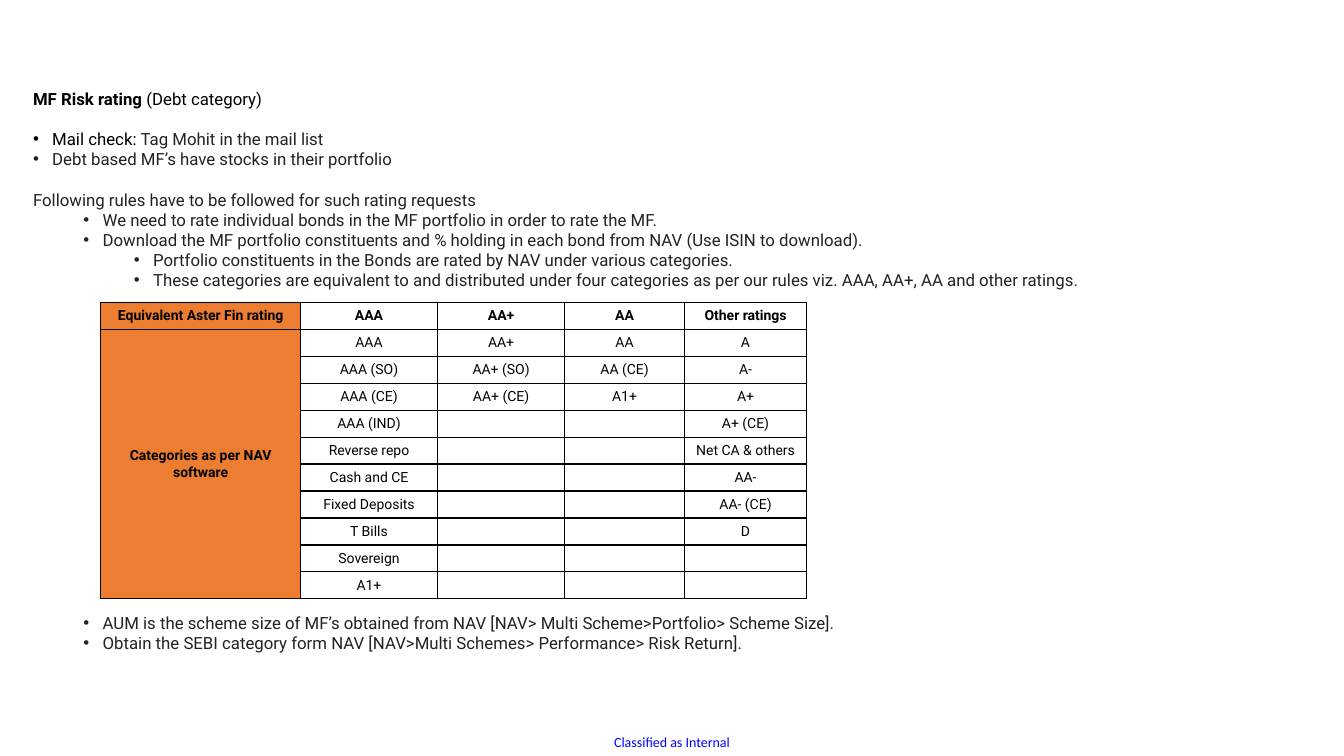
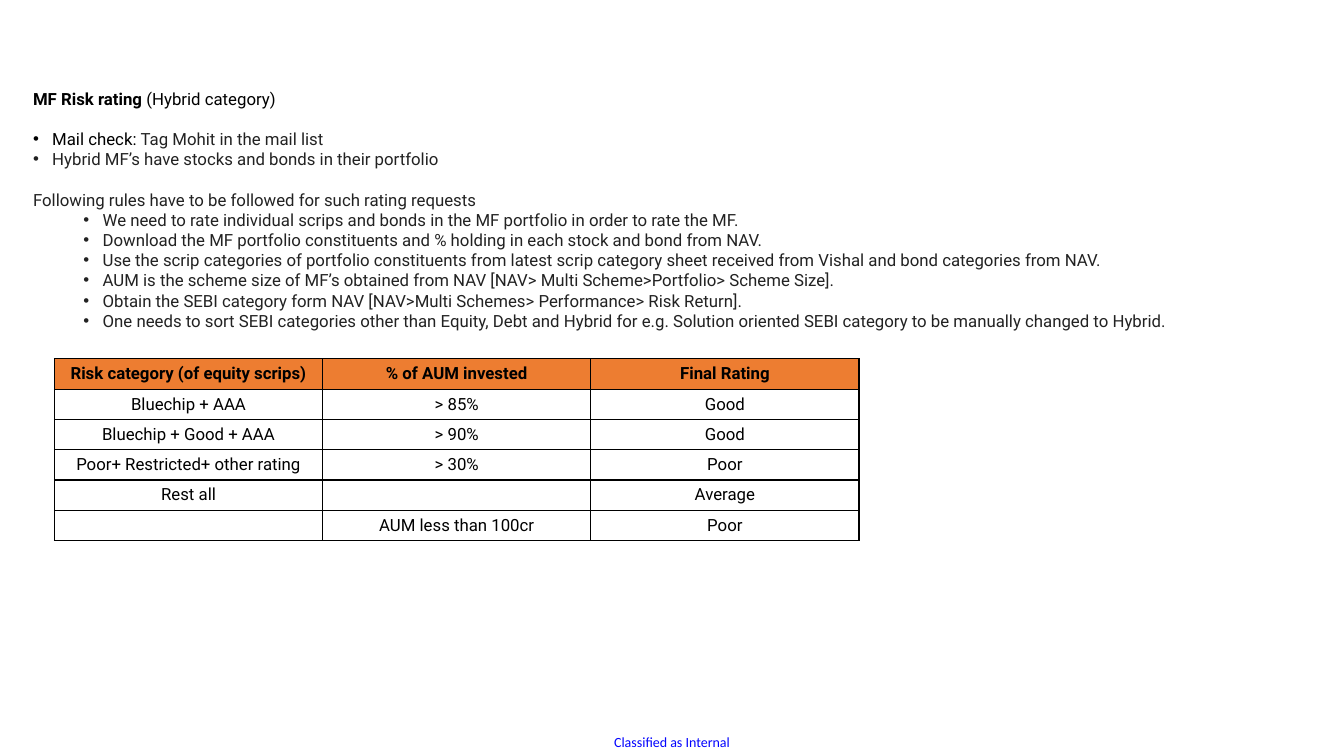
from pptx import Presentation
from pptx.dml.color import RGBColor
from pptx.enum.text import MSO_ANCHOR as Anchor, PP_ALIGN as Align
from pptx.oxml.xmlchemy import OxmlElement
from pptx.util import Inches, Pt

# Shared look
BLACK, GRAY, WHITE = "000000", "222222", "FFFFFF"
ORANGE, BLUE = "ED7D31", "0303FE"
BODY_FONT, FOOTER_FONT = "Roboto", "Calibri"
BODY_SIZE = 12
BLANK_LINE = 14.4
SLIDE_WIDTH, SLIDE_HEIGHT = 13.33, 7.5
TEXT_LEFT, TEXT_TOP, TEXT_WIDTH = 0.23, 0.83, 12.6
HANGING, LEVEL_STEP = 0.19, 0.5

# Wording used on both slides
RULES_INTRO = "Following rules have to be followed for such rating requests"
NAV_RULES = [
    (1, "AUM is the scheme size of MF’s obtained from NAV "
        "[NAV> Multi Scheme>Portfolio> Scheme Size]."),
    (1, "Obtain the SEBI category form NAV "
        "[NAV>Multi Schemes> Performance> Risk Return]."),
]

DEBT_RULES = [
    (1, "We need to rate individual bonds in the MF portfolio in order to rate the MF."),
    (1, "Download the MF portfolio constituents and % holding in each bond "
        "from NAV (Use ISIN to download)."),
    (2, "Portfolio constituents in the Bonds are rated by NAV under various categories."),
    (2, "These categories are equivalent to and distributed under four categories "
        "as per our rules viz. AAA, AA+, AA and other ratings."),
]
HYBRID_RULES = [
    (1, "We need to rate individual scrips and bonds in the MF portfolio "
        "in order to rate the MF."),
    (1, "Download the MF portfolio constituents and % holding in each stock "
        "and bond from NAV."),
    (1, "Use the scrip categories of portfolio constituents from latest scrip "
        "category sheet received from Vishal and bond categories from NAV."),
    *NAV_RULES,
    (1, "One needs to sort SEBI categories other than Equity, Debt and Hybrid for e.g. "
        "Solution oriented SEBI category to be manually changed to Hybrid."),
]

BOND_ROWS = [
    ["Equivalent Aster Fin rating", "AAA", "AA+", "AA", "Other ratings"],
    ["Categories as per NAV software", "AAA", "AA+", "AA", "A"],
    ["", "AAA (SO)", "AA+ (SO)", "AA (CE)", "A-"],
    ["", "AAA (CE)", "AA+ (CE)", "A1+", "A+"],
    ["", "AAA (IND)", "", "", "A+ (CE)"],
    ["", "Reverse repo", "", "", "Net CA & others"],
    ["", "Cash and CE", "", "", "AA-"],
    ["", "Fixed Deposits", "", "", "AA- (CE)"],
    ["", "T Bills", "", "", "D"],
    ["", "Sovereign", "", "", ""],
    ["", "A1+", "", "", ""],
]
RATING_ROWS = [
    ["Risk category (of equity scrips)", "% of AUM invested", "Final Rating"],
    ["Bluechip + AAA", "> 85%", "Good"],
    ["Bluechip + Good + AAA", "> 90%", "Good"],
    ["Poor+ Restricted+ other rating", "> 30%", "Poor"],
    ["Rest all", "", "Average"],
    ["", "AUM less than 100cr", "Poor"],
]


def color(value):
    return RGBColor.from_string(value)


def add_run(paragraph, text, fill=GRAY, size=BODY_SIZE, font=BODY_FONT, bold=False):
    run = paragraph.add_run()
    run.text = text
    run.font.name = font
    run.font.size = Pt(size)
    run.font.bold = bold
    run.font.color.rgb = color(fill)


def add_text_frame(slide, left, top, width, height):
    frame = slide.shapes.add_textbox(
        Inches(left), Inches(top), Inches(width), Inches(height)).text_frame
    frame.word_wrap = True
    return frame


def next_paragraph(frame):
    first = frame.paragraphs[0]
    return frame.add_paragraph() if first.runs else first


def set_bullet(paragraph, level):
    properties = paragraph._p.get_or_add_pPr()
    properties.set("marL", str(Inches(HANGING + level * LEVEL_STEP)))
    properties.set("indent", str(-Inches(HANGING)))
    font = OxmlElement("a:buFont")
    font.set("typeface", "Arial")
    mark = OxmlElement("a:buChar")
    mark.set("char", "•")
    properties.extend([font, mark])


def add_bullets(frame, items):
    for level, text in items:
        paragraph = next_paragraph(frame)
        set_bullet(paragraph, level)
        add_run(paragraph, text)


def add_guidance(slide, category, holdings, rules, height):
    frame = add_text_frame(slide, TEXT_LEFT, TEXT_TOP, TEXT_WIDTH, height)
    title = next_paragraph(frame)
    add_run(title, "MF Risk rating", BLACK, bold=True)
    add_run(title, f" ({category} category)", BLACK)

    mail_check = next_paragraph(frame)
    set_bullet(mail_check, 0)
    mail_check.space_before = Pt(BLANK_LINE)
    add_run(mail_check, "Mail check:", BLACK)
    add_run(mail_check, " Tag Mohit in the mail list")
    add_bullets(frame, [(0, holdings)])

    intro = next_paragraph(frame)
    intro.space_before = Pt(BLANK_LINE)
    add_run(intro, RULES_INTRO)
    add_bullets(frame, rules)


def set_borders(cell):
    properties = cell._tc.get_or_add_tcPr()
    for side in ("a:lnL", "a:lnR", "a:lnT", "a:lnB"):
        line = OxmlElement(side)
        line.set("w", str(Pt(1)))
        fill = OxmlElement("a:solidFill")
        black = OxmlElement("a:srgbClr")
        black.set("val", BLACK)
        fill.append(black)
        line.append(fill)
        properties.append(line)


def fill_cell(cell, text, fill, size, bold):
    set_borders(cell)
    cell.fill.solid()
    cell.fill.fore_color.rgb = color(fill)
    cell.vertical_anchor = Anchor.MIDDLE
    paragraph = cell.text_frame.paragraphs[0]
    paragraph.alignment = Align.CENTER
    if text:
        add_run(paragraph, text, BLACK, size, bold=bold)
    else:
        # Keeps an empty cell from stretching its row
        end = OxmlElement("a:endParaRPr")
        end.set("sz", str(size * 100))
        paragraph._p.append(end)


def add_grid(slide, left, top, widths, row_height, rows, size, is_orange, is_bold):
    table = slide.shapes.add_table(
        len(rows), len(widths), Inches(left), Inches(top),
        Inches(sum(widths)), Inches(row_height * len(rows))).table
    table.first_row = False
    table.horz_banding = False
    for column, width in zip(table.columns, widths):
        column.width = Inches(width)
    for r, values in enumerate(rows):
        table.rows[r].height = Inches(row_height)
        for c, text in enumerate(values):
            fill = ORANGE if is_orange(r, c) else WHITE
            fill_cell(table.cell(r, c), text, fill, size, is_bold(r, c))
    return table


def add_footer(slide):
    frame = add_text_frame(slide, 0, 7.23, SLIDE_WIDTH, 0.27)
    paragraph = next_paragraph(frame)
    paragraph.alignment = Align.CENTER
    add_run(paragraph, "Classified as Internal", BLUE, 10, FOOTER_FONT)


def add_slide(presentation):
    slide = presentation.slides.add_slide(presentation.slide_layouts[6])
    slide.background.fill.solid()
    slide.background.fill.fore_color.rgb = color(WHITE)
    return slide


def build_debt_slide(presentation):
    slide = add_slide(presentation)
    add_guidance(slide, "Debt", "Debt based MF’s have stocks in their portfolio",
                 DEBT_RULES, 2.1)
    table = add_grid(slide, 1, 3, [1.98, 1.36, 1.26, 1.19, 1.21], 2.93 / len(BOND_ROWS),
                     BOND_ROWS, 10,
                     is_orange=lambda r, c: c == 0,
                     is_bold=lambda r, c: r == 0 or c == 0)
    table.cell(1, 0).merge(table.cell(len(BOND_ROWS) - 1, 0))
    add_bullets(add_text_frame(slide, TEXT_LEFT, 6.03, TEXT_WIDTH, 0.5), NAV_RULES)
    add_footer(slide)


def build_hybrid_slide(presentation):
    slide = add_slide(presentation)
    add_guidance(slide, "Hybrid", "Hybrid MF’s have stocks and bonds in their portfolio",
                 HYBRID_RULES, 2.52)
    add_grid(slide, 0.54, 3.56, [2.66] * 3, 0.3, RATING_ROWS, 12,
             is_orange=lambda r, c: r == 0,
             is_bold=lambda r, c: r == 0)
    add_footer(slide)


def main():
    presentation = Presentation()
    presentation.slide_width = Inches(SLIDE_WIDTH)
    presentation.slide_height = Inches(SLIDE_HEIGHT)
    build_debt_slide(presentation)
    build_hybrid_slide(presentation)
    presentation.save("out.pptx")


if __name__ == "__main__":
    main()
